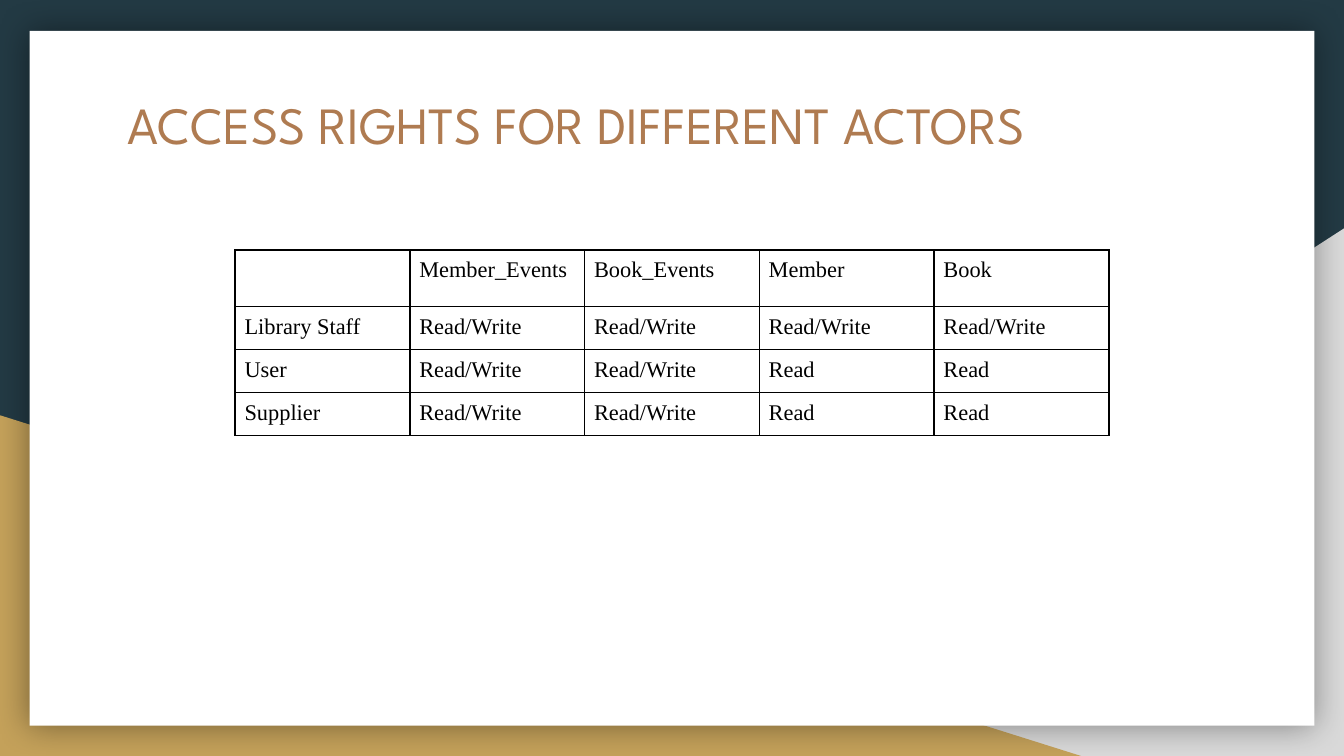
from dataclasses import dataclass

from lxml.etree import SubElement
from pptx import Presentation
from pptx.dml.color import RGBColor
from pptx.enum.shapes import MSO_SHAPE
from pptx.enum.text import MSO_ANCHOR
from pptx.oxml.ns import qn
from pptx.util import Inches, Pt


@dataclass(frozen=True)
class Theme:
    """Colours, fonts and type sizes of the slide."""

    background: str = "233A44"
    grey: str = "D9D9D9"
    gold: str = "C4A15A"
    panel: str = "FFFFFF"
    title: str = "AF7B51"
    ink: str = "000000"
    title_font: str = "League Spartan"
    table_font: str = "Times New Roman"
    title_size: int = 28
    table_size: int = 12


THEME = Theme()

ACCESS_RIGHTS = [
    ["", "Member_Events", "Book_Events", "Member", "Book"],
    ["Library Staff"] + ["Read/Write"] * 4,
    ["User"] + ["Read/Write"] * 2 + ["Read"] * 2,
    ["Supplier"] + ["Read/Write"] * 2 + ["Read"] * 2,
]


def write_text(paragraph, text, *, font, size, color):
    """Add a formatted run of text to a paragraph."""
    run = paragraph.add_run()
    run.text = text
    run.font.name = font
    run.font.size = Pt(size)
    run.font.color.rgb = RGBColor.from_string(color)


def add_filled_shape(slide, kind, left, top, width, height, color, flipped=False):
    """Add a preset shape with a plain fill and no outline."""
    shape = slide.shapes.add_shape(
        kind, Inches(left), Inches(top), Inches(width), Inches(height)
    )
    shape.shadow.inherit = False
    shape.fill.solid()
    shape.fill.fore_color.rgb = RGBColor.from_string(color)
    shape.line.fill.background()
    if flipped:
        shape._element.spPr.xfrm.set("flipH", "1")
    return shape


def add_soft_shadow(shape, color, blur, opacity):
    """Give a shape an even blurred shadow on all sides."""
    effects = shape._element.spPr.find(qn("a:effectLst"))
    shadow = SubElement(
        effects, qn("a:outerShdw"), blurRad=str(Pt(blur)), dist="0", dir="0",
        algn="ctr", rotWithShape="0",
    )
    shadow_color = SubElement(shadow, qn("a:srgbClr"), val=color)
    SubElement(shadow_color, qn("a:alpha"), val=str(opacity * 1000))


def add_title(slide, text):
    """Add the slide title."""
    shape = slide.shapes.add_textbox(
        Inches(0.85), Inches(0.59), Inches(8.21), Inches(1.04)
    )
    frame = shape.text_frame
    frame.word_wrap = True
    frame.vertical_anchor = MSO_ANCHOR.TOP
    frame.margin_left = frame.margin_right = Inches(0.1)
    frame.margin_top = frame.margin_bottom = Inches(0.1)
    write_text(frame.paragraphs[0], text, font=THEME.title_font,
               size=THEME.title_size, color=THEME.title)


def add_cell_borders(cell, color, width):
    """Draw a line on each side of a table cell."""
    properties = cell._tc.get_or_add_tcPr()
    for side in ("lnL", "lnR", "lnT", "lnB"):
        line = SubElement(properties, qn(f"a:{side}"), w=str(Pt(width)))
        fill = SubElement(line, qn("a:solidFill"))
        SubElement(fill, qn("a:srgbClr"), val=color)


def format_cell(cell, text):
    """Fill in one table cell with text, margins and borders."""
    cell.margin_left = cell.margin_right = Inches(0.07)
    cell.margin_top = cell.margin_bottom = Inches(0.06)
    add_cell_borders(cell, THEME.ink, 1)
    cell.fill.background()
    if text:
        write_text(cell.text_frame.paragraphs[0], text, font=THEME.table_font,
                   size=THEME.table_size, color=THEME.ink)


def add_rights_table(slide, rows, left, top, column_width, header_height, row_height):
    """Add the bordered table of access rights."""
    column_count = len(rows[0])
    total_height = header_height + row_height * (len(rows) - 1)
    table = slide.shapes.add_table(
        len(rows), column_count, Inches(left), Inches(top),
        Inches(column_width * column_count), Inches(total_height),
    ).table
    table.first_row = False
    table.horz_banding = False
    for column in table.columns:
        column.width = Inches(column_width)
    for row_index, (row, texts) in enumerate(zip(table.rows, rows)):
        row.height = Inches(row_height if row_index else header_height)
        for cell, text in zip(row.cells, texts):
            format_cell(cell, text)


def main():
    """Build and save the slide."""
    presentation = Presentation()
    presentation.slide_width = Inches(10)
    presentation.slide_height = Inches(10 * 9 / 16)
    slide = presentation.slides.add_slide(presentation.slide_layouts[6])
    slide.background.fill.solid()
    slide.background.fill.fore_color.rgb = RGBColor.from_string(THEME.background)

    add_filled_shape(slide, MSO_SHAPE.RIGHT_TRIANGLE, 3.92, 1.7, 6.08, 3.93,
                     THEME.grey, flipped=True)
    add_filled_shape(slide, MSO_SHAPE.RIGHT_TRIANGLE, 0, 3.09, 8.06, 2.54, THEME.gold)
    panel = add_filled_shape(slide, MSO_SHAPE.RECTANGLE, 0.22, 0.23, 9.56, 5.17,
                             THEME.panel)
    add_soft_shadow(panel, THEME.ink, blur=18, opacity=40)

    add_title(slide, "ACCESS RIGHTS FOR DIFFERENT ACTORS")
    add_rights_table(slide, ACCESS_RIGHTS, left=1.75, top=1.86, column_width=1.3,
                     header_height=0.42, row_height=0.32)
    presentation.save("out.pptx")


if __name__ == "__main__":
    main()
